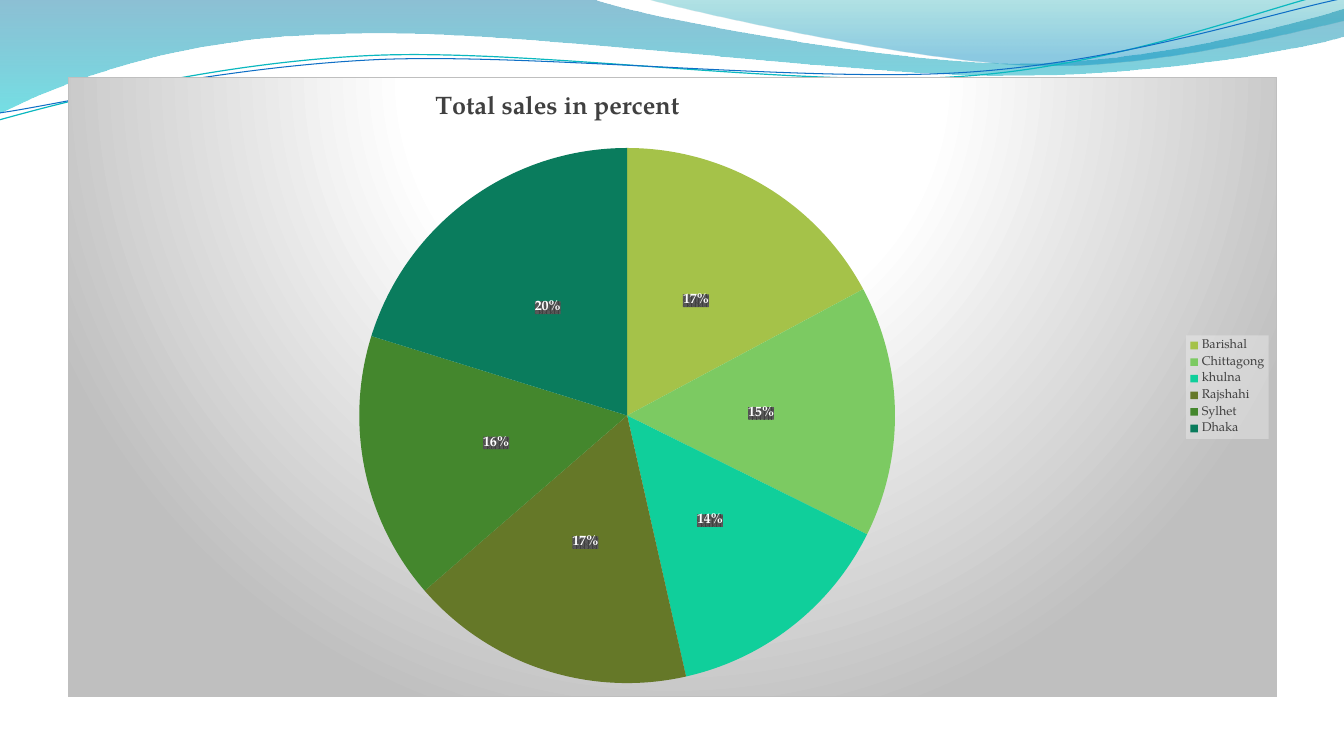
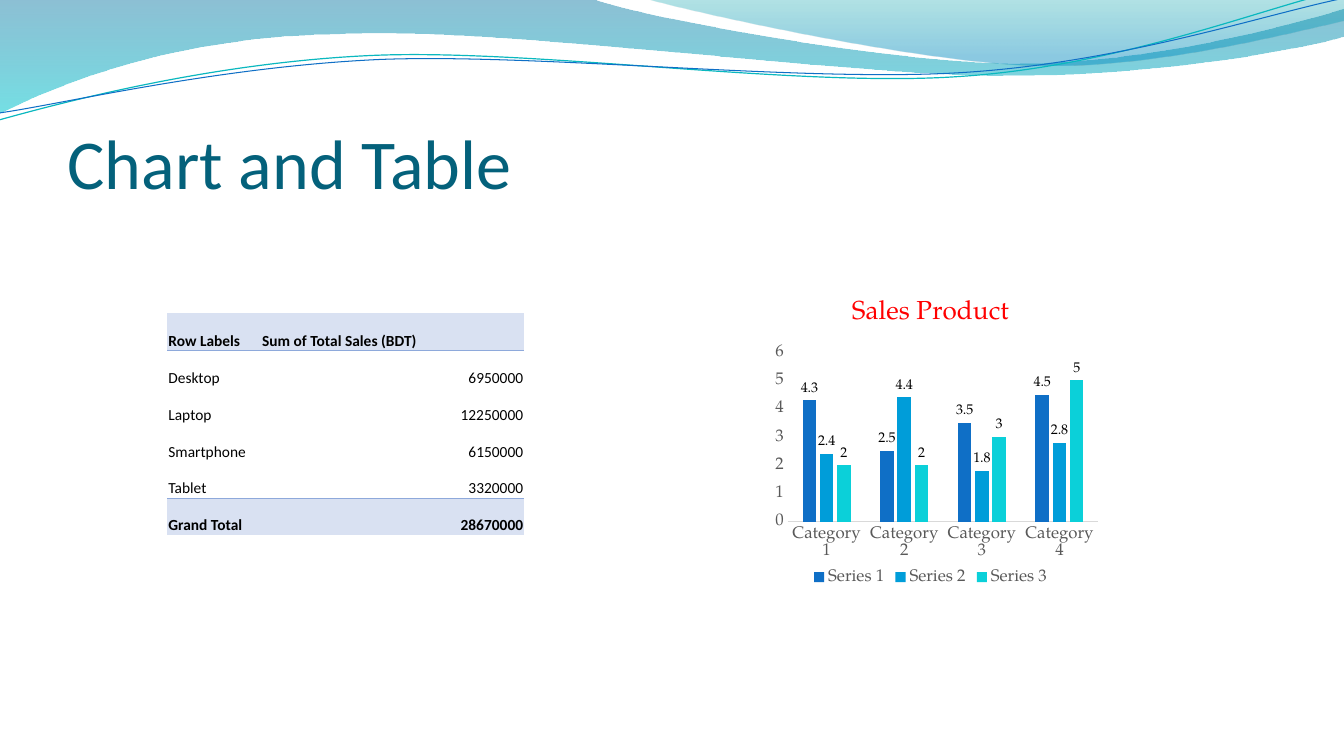
from pptx import Presentation
from pptx.chart.data import CategoryChartData
from pptx.dml.color import RGBColor
from pptx.enum.chart import XL_CHART_TYPE, XL_LABEL_POSITION, XL_LEGEND_POSITION, XL_TICK_MARK
from pptx.enum.text import MSO_ANCHOR, MSO_AUTO_SIZE, PP_ALIGN
from pptx.oxml import parse_xml
from pptx.oxml.ns import nsdecls, qn
from pptx.util import Inches, Pt

SERIF = "TeX Gyre Pagella"
SANS = "Calibri"
TITLE_COLOR = "04617B"
BLACK, GRAY, DARK_GRAY = "000000", "595959", "404040"
TABLE_FILL, TABLE_LINE = "D9E1F2", "8EA9DB"
NO_TABLE_STYLE = "{2D5ABB26-0587-4C30-8999-92F81FD0307C}"
DOWNWARD = '<a:lin ang="5400000" scaled="0"/>'
SPOTLIGHT = ('<a:path path="circle"><a:fillToRect l="50000" t="-80000" '
             'r="50000" b="180000"/></a:path>')

# Pairs are straight steps, groups of six are curves with two control points.
BAND_LEFT = [(0, 0), (5.87, -0.01), (6.34, 0.17, 8.85, 0.63, 10.11, 0.63),
             (11.38, 0.63, 12.78, 0.26, 13.33, 0.09), (13.35, 0.36),
             (13.11, 0.44, 11.6, 0.76, 9.94, 0.75),
             (8.29, 0.75, 5.09, 0.28, 3.43, 0.34),
             (1.72, 0.36, 0.61, 0.83, -0.01, 1.13)]
BAND_RIGHT = [(6.39, -0.01), (6.79, 0.11, 9.09, 0.62, 10.25, 0.65),
              (11.41, 0.69, 12.82, 0.32, 13.33, 0.21), (13.33, 0)]
THREAD_TEAL = [(-0.01, 1.19), (0.64, 1.01, 2.11, 0.62, 3.69, 0.55),
               (5.27, 0.48, 7.9, 0.87, 9.5, 0.76),
               (11.1, 0.66, 12.52, 0.08, 13.31, -0.1)]
THREAD_BLUE = [(0, 1.12), (0.63, 1.03, 2.18, 0.66, 3.78, 0.59),
               (5.37, 0.53, 7.96, 0.82, 9.55, 0.72),
               (11.15, 0.62, 12.55, 0.14, 13.34, -0.02)]


def color(value):
    return RGBColor.from_string(value)


def style_font(font, size, ink=BLACK, bold=False, face=SERIF):
    font.size, font.bold, font.name = Pt(size), bold, face
    font.color.rgb = color(ink)


def write(frame, text, align=PP_ALIGN.LEFT, **style):
    para = frame.paragraphs[0]
    para.alignment = align
    span = para.add_run()
    span.text = text
    style_font(span.font, **style)


def gradient(stops, direction):
    """Stops are (position, colour, opacity), in percent."""
    marks = "".join(
        f'<a:gs pos="{place * 1000}"><a:srgbClr val="{ink}">'
        f'<a:alpha val="{opacity * 1000}"/></a:srgbClr></a:gs>'
        for place, ink, opacity in stops)
    return (f'<a:gradFill {nsdecls("a")} rotWithShape="1">'
            f'<a:gsLst>{marks}</a:gsLst>{direction}</a:gradFill>')


def chart_format(content):
    return parse_xml(f'<c:spPr {nsdecls("c", "a")}>{content}</c:spPr>')


def set_layout(element, index, target=None, **fractions):
    """Place a chart part by fractions of the chart's size."""
    for layout in element.findall(qn("c:layout")):
        element.remove(layout)
    entries = f'<c:layoutTarget val="{target}"/>' if target else ""
    entries += "".join(f'<c:{key}Mode val="edge"/>' for key in "xy")
    entries += "".join(f'<c:{key} val="{value}"/>' for key, value in fractions.items())
    element.insert(index, parse_xml(
        f'<c:layout {nsdecls("c")}><c:manualLayout>{entries}</c:manualLayout></c:layout>'))


def bend(outline, steps):
    """Join each three straight segments of a curved step into one curve."""
    segments = iter(outline.findall(qn("a:lnTo")))
    for step in steps[1:]:
        first = next(segments)
        if len(step) == 2:
            continue
        curve = parse_xml(f'<a:cubicBezTo {nsdecls("a")}/>')
        first.addprevious(curve)
        for segment in (first, next(segments), next(segments)):
            curve.append(segment[0])
            outline.remove(segment)


class SlideBuilder:
    def __init__(self):
        self.deck = Presentation()
        self.deck.slide_width, self.deck.slide_height = Inches(13.33), Inches(7.5)
        self.page = None

    def add_page(self, layout):
        self.page = self.deck.slides.add_slide(self.deck.slide_layouts.get_by_name(layout))

    def add_title(self, text):
        box = self.page.shapes.title
        box.left, box.top = Inches(0.67), Inches(0.77)
        box.width, box.height = Inches(12), Inches(1.25)
        frame = box.text_frame
        frame.auto_size = MSO_AUTO_SIZE.NONE
        frame.vertical_anchor = MSO_ANCHOR.BOTTOM
        frame.margin_left = frame.margin_right = frame.margin_bottom = 0
        frame.margin_top = Inches(0.05)
        write(frame, text, size=50, ink=TITLE_COLOR, face=SANS)

    def add_wave(self, steps, closed):
        points = [(Inches(step[i]), Inches(step[i + 1]))
                  for step in steps for i in range(0, len(step), 2)]
        builder = self.page.shapes.build_freeform(*points[0])
        builder.add_line_segments(points[1:], close=closed)
        wave = builder.convert_to_shape()
        wave.shadow.inherit = False
        bend(wave.element.find(".//" + qn("a:path")), steps)
        # The master carries the wave, so every page shows it.
        self.deck.slide_master.shapes.element.append(wave.element)
        return wave

    def add_band(self, steps, stops):
        band = self.add_wave(steps, True)
        band.line.fill.background()
        outline = band.element.spPr.find(qn("a:custGeom"))
        outline.addnext(parse_xml(gradient(stops, DOWNWARD)))

    def add_thread(self, steps, ink, width):
        thread = self.add_wave(steps, False)
        thread.fill.background()
        thread.line.color.rgb = color(ink)
        thread.line.width = Pt(width)

    def add_chart(self, kind, place, categories, series, title, title_style, legend, legend_style):
        data = CategoryChartData()
        data.categories = categories
        for name, values in series.items():
            data.add_series(name, values)
        chart = self.page.shapes.add_chart(kind, *map(Inches, place), data).chart
        style_font(chart.font, 10)
        chart.has_title = True
        write(chart.chart_title.text_frame, title, align=PP_ALIGN.CENTER, **title_style)
        chart.chart_title.include_in_layout = False
        chart.has_legend = True
        chart.legend.position = legend
        chart.legend.include_in_layout = False
        style_font(chart.legend.font, **legend_style)
        return chart

    def add_labels(self, plot, position, **style):
        plot.has_data_labels = True
        labels = plot.data_labels
        labels.position = position
        style_font(labels.font, 10, **style)
        return labels

    def add_pie(self, place, slices, title):
        chart = self.add_chart(
            XL_CHART_TYPE.PIE, place, [name for name, _, _ in slices],
            {"Series 1": [value for _, value, _ in slices]},
            title, dict(size=18, ink=DARK_GRAY, bold=True),
            XL_LEGEND_POSITION.RIGHT, dict(size=9, ink=DARK_GRAY))
        set_layout(chart.chart_title.element, 1, x=0.3, y=0.02)
        plot = chart.plots[0]
        plot.vary_by_categories = True
        for index, (_, _, ink) in enumerate(slices):
            fill = plot.series[0].points[index].format.fill
            fill.solid()
            fill.fore_color.rgb = color(ink)
        labels = self.add_labels(plot, XL_LABEL_POSITION.CENTER, ink="FFFFFF", bold=True)
        labels.show_percentage, labels.show_value = True, False
        # Patterned label plates and a pale legend panel
        labels._element.find(qn("c:txPr")).addprevious(chart_format(
            f'<a:pattFill prst="pct75"><a:fgClr><a:srgbClr val="{DARK_GRAY}"/></a:fgClr>'
            f'<a:bgClr><a:srgbClr val="{GRAY}"/></a:bgClr></a:pattFill>'))
        chart.legend._element.find(qn("c:txPr")).addprevious(chart_format(
            '<a:solidFill><a:srgbClr val="F2F2F2"><a:alpha val="39000"/>'
            '</a:srgbClr></a:solidFill>'))
        # Spotlight background
        glow = gradient([(0, "FFFFFF", 100), (39, "FFFFFF", 100), (100, "BFBFBF", 100)], SPOTLIGHT)
        border = (f'<a:ln w="{Pt(0.75)}"><a:solidFill><a:srgbClr val="BFBFBF"/>'
                  '</a:solidFill></a:ln>')
        chart.element.find(qn("c:chart")).addnext(chart_format(glow + border))

    def add_columns(self, place, categories, series, inks, title):
        chart = self.add_chart(
            XL_CHART_TYPE.COLUMN_CLUSTERED, place, categories, series,
            title, dict(size=18.6, ink="FF0000"),
            XL_LEGEND_POSITION.BOTTOM, dict(size=12, ink=GRAY))
        plot = chart.plots[0]
        set_layout(plot._element.getparent(), 0, "inner", x=0.1, y=0.23, w=0.87, h=0.55)
        plot.gap_width, plot.overlap, plot.vary_by_categories = 219, -27, False
        for entry, ink in zip(plot.series, inks):
            entry.format.fill.solid()
            entry.format.fill.fore_color.rgb = color(ink)
        self.add_labels(plot, XL_LABEL_POSITION.OUTSIDE_END).show_value = True
        for axis in (chart.category_axis, chart.value_axis):
            axis.major_tick_mark = axis.minor_tick_mark = XL_TICK_MARK.NONE
            axis.has_major_gridlines = False
            style_font(axis.tick_labels.font, 12, GRAY)
        chart.category_axis.format.line.color.rgb = color("D9D9D9")
        chart.category_axis.format.line.width = Pt(0.75)
        scale = chart.value_axis
        scale.format.line.fill.background()
        scale.minimum_scale, scale.maximum_scale, scale.major_unit = 0, 6, 1

    def set_border(self, cell, index, side, shown):
        paint = (f'<a:solidFill><a:srgbClr val="{TABLE_LINE}"/></a:solidFill>'
                 if shown else "<a:noFill/>")
        cell._tc.get_or_add_tcPr().insert(index, parse_xml(
            f'<a:{side} {nsdecls("a")} w="{Pt(0.5)}">{paint}</a:{side}>'))

    def add_table(self, left, top, widths, height, rows):
        table = self.page.shapes.add_table(
            len(rows), len(widths), Inches(left), Inches(top),
            Inches(sum(widths)), Inches(height)).table
        table.first_row = table.horz_banding = False
        table._tbl.tblPr.find(qn("a:tableStyleId")).text = NO_TABLE_STYLE
        for column, width in zip(table.columns, widths):
            column.width = Inches(width)
        last = len(rows) - 1
        for r, row in enumerate(rows):
            table.rows[r].height = Inches(height / len(rows))
            for c, text in enumerate(row):
                cell = table.cell(r, c)
                cell.vertical_anchor = MSO_ANCHOR.BOTTOM
                cell.margin_left = cell.margin_right = cell.margin_top = Inches(0.01)
                cell.margin_bottom = 0
                strong = r in (0, last)
                write(cell.text_frame, text, size=11, face=SANS, bold=strong,
                      align=PP_ALIGN.RIGHT if r and c else PP_ALIGN.LEFT)
                if strong:
                    cell.fill.solid()
                    cell.fill.fore_color.rgb = color(TABLE_FILL)
                else:
                    cell.fill.background()
                self.set_border(cell, 0, "lnT", r in (1, last))
                self.set_border(cell, 1, "lnB", r in (0, last - 1))


def main():
    builder = SlideBuilder()

    # Sales share, and the waves that all pages share
    builder.add_page("Blank")
    builder.add_band(BAND_LEFT, [(0, "0074A1", 45), (100, "00C6CF", 55)])
    builder.add_band(BAND_RIGHT, [(0, "00A1A9", 30), (80, "008BBF", 45)])
    builder.add_thread(THREAD_TEAL, "0AB8BF", 0.85)
    builder.add_thread(THREAD_BLUE, "0F6FC6", 0.75)
    builder.add_pie((0.67, 0.76, 12, 6.16), [
        ("Barishal", 17, "A5C249"), ("Chittagong", 15, "7CCA62"),
        ("khulna", 14, "10CF9B"), ("Rajshahi", 17, "657828"),
        ("Sylhet", 16, "44872D"), ("Dhaka", 20, "0A7C5D")], "Total sales in percent")

    # Table and column chart
    builder.add_page("Title Only")
    builder.add_title("Chart and Table")
    builder.add_table(1.66, 3.11, (0.93, 2.61), 2.2, [
        ("Row Labels", "Sum of Total Sales (BDT)"),
        ("Desktop", "6950000"), ("Laptop", "12250000"),
        ("Smartphone", "6150000"), ("Tablet", "3320000"),
        ("Grand Total", "28670000")])
    builder.add_columns(
        (7.46, 2.79, 3.54, 3.06), [f"Category {number}" for number in range(1, 5)],
        {"Series 1": (4.3, 2.5, 3.5, 4.5), "Series 2": (2.4, 4.4, 1.8, 2.8),
         "Series 3": (2, 2, 3, 5)},
        ("0F6FC6", "009DD9", "0BD0D9"), "Sales Product")

    builder.deck.save("out.pptx")


if __name__ == "__main__":
    main()
